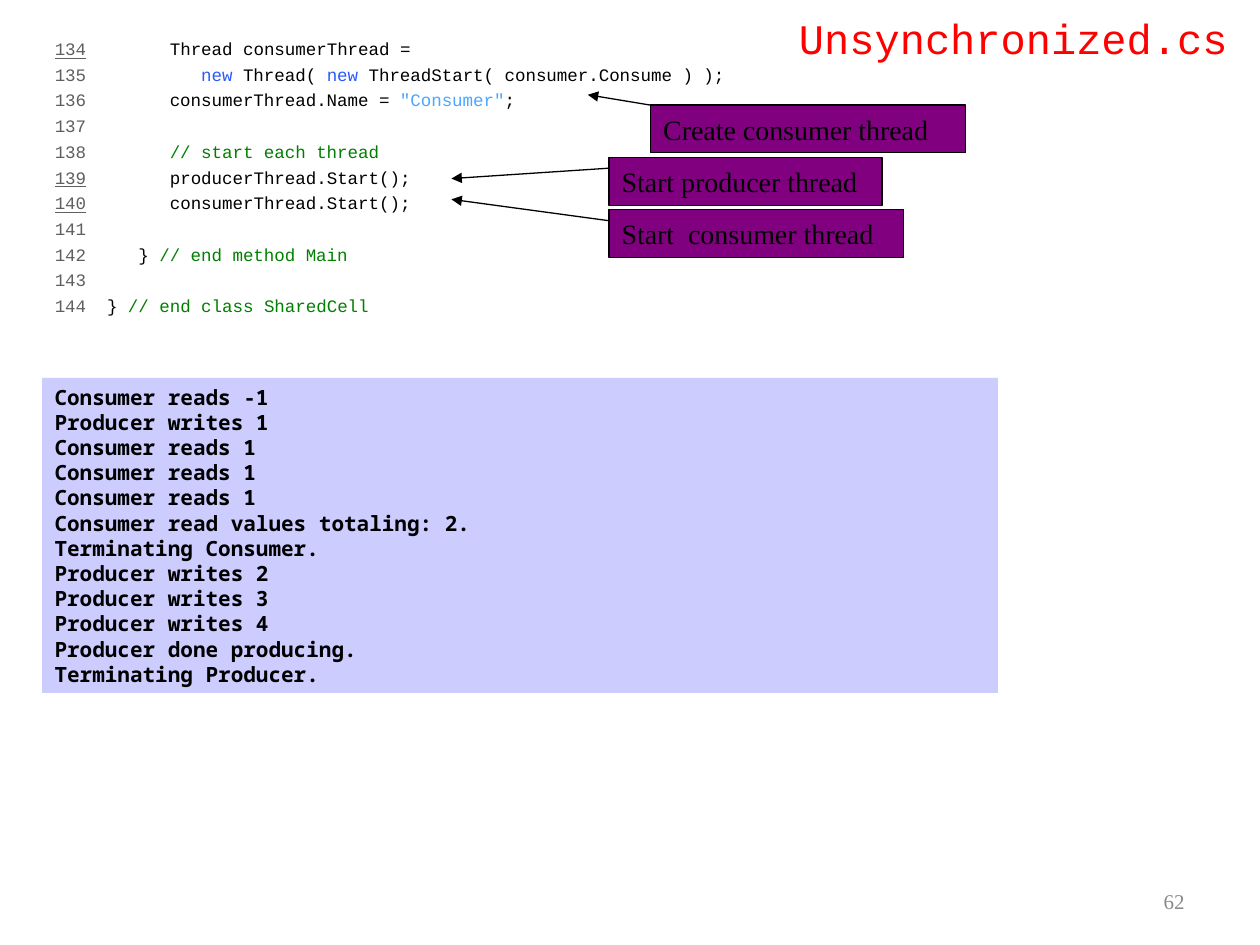
import pptx
import pptx.dml.color
import pptx.enum.shapes
import pptx.enum.text
import pptx.oxml
import pptx.oxml.ns
import pptx.util
from pptx.util import Cm

RGBColor = pptx.dml.color.RGBColor
BLACK = RGBColor(0x00, 0x00, 0x00)
NUMBER_GREY = RGBColor(0x5F, 0x5F, 0x5F)
KEYWORD_BLUE = RGBColor(0x27, 0x5A, 0xFF)
STRING_BLUE = RGBColor(0x4D, 0xA6, 0xFF)
COMMENT_GREEN = RGBColor(0x00, 0x80, 0x00)
OUTPUT_LILAC = RGBColor(0xCC, 0xCC, 0xFF)
CALLOUT_PURPLE = RGBColor(0x80, 0x00, 0x80)
TITLE_RED = RGBColor(0xFF, 0x00, 0x00)
PAGE_GREY = RGBColor(0x89, 0x89, 0x89)

CODE_FONT = "Courier New"
SERIF_FONT = "Times New Roman"
ALIGN = pptx.enum.text.PP_ALIGN
ANCHOR = pptx.enum.text.MSO_ANCHOR
RECTANGLE = pptx.enum.shapes.MSO_SHAPE.RECTANGLE


def add_run(paragraph, text, font, size, color, bold=False, underline=False):
    run = paragraph.add_run()
    run.text = text
    run.font.name = font
    run.font.size = pptx.util.Pt(size)
    run.font.color.rgb = color
    run.font.bold = bold
    run.font.underline = underline


def prepare_frame(shape, anchor):
    frame = shape.text_frame
    frame.word_wrap = True
    frame.auto_size = pptx.enum.text.MSO_AUTO_SIZE.NONE
    frame.vertical_anchor = anchor
    return frame


presentation = pptx.Presentation()
presentation.slide_width = Cm(25.4)
presentation.slide_height = Cm(19.05)
slide = presentation.slides.add_slide(presentation.slide_layouts[0])

# Title
title = slide.shapes.title
title.left, title.top, title.width, title.height = Cm(15.45), Cm(0), Cm(9.95), Cm(1.52)
paragraph = prepare_frame(title, ANCHOR.MIDDLE).paragraphs[0]
paragraph.alignment = ALIGN.CENTER
add_run(paragraph, "Unsynchronized.cs", CODE_FONT, 24, TITLE_RED)

# Code listing: one list of coloured pieces per numbered line
FIRST_LINE = 134
UNDERLINED_LINES = {134, 139, 140}
code_lines = [
    [("      Thread consumerThread =", BLACK)],
    [("         ", BLACK), ("new", KEYWORD_BLUE), (" Thread( ", BLACK),
     ("new", KEYWORD_BLUE), (" ThreadStart( consumer.Consume ) );", BLACK)],
    [("      consumerThread.Name = ", BLACK), ('"Consumer"', STRING_BLUE), (";", BLACK)],
    [],
    [("      // start each thread", COMMENT_GREEN)],
    [("      producerThread.Start();", BLACK)],
    [("      consumerThread.Start();", BLACK)],
    [],
    [("   } ", BLACK), ("// end method Main", COMMENT_GREEN)],
    [],
    [("} ", BLACK), ("// end class SharedCell", COMMENT_GREEN)],
]
code = slide.placeholders[1]
code.left, code.top, code.width, code.height = Cm(0.85), Cm(0.64), Cm(20.53), Cm(6.77)
frame = prepare_frame(code, ANCHOR.TOP)
for index, pieces in enumerate(code_lines):
    paragraph = frame.add_paragraph() if index else frame.paragraphs[0]
    paragraph.alignment = ALIGN.LEFT
    paragraph.space_before = pptx.util.Pt(2.67 if index else 0)
    number = FIRST_LINE + index
    add_run(paragraph, str(number), CODE_FONT, 10, NUMBER_GREY,
            underline=number in UNDERLINED_LINES)
    if pieces:
        add_run(paragraph, "  ", CODE_FONT, 10, NUMBER_GREY)
    for text, color in pieces:
        add_run(paragraph, text, CODE_FONT, 10, color)

# Program output
output_lines = [
    "Consumer reads -1",
    "Producer writes 1",
    "Consumer reads 1",
    "Consumer reads 1",
    "Consumer reads 1",
    "Consumer read values totaling: 2.",
    "Terminating Consumer.",
    "Producer writes 2",
    "Producer writes 3",
    "Producer writes 4",
    "Producer done producing.",
    "Terminating Producer.",
]
output = slide.shapes.add_shape(RECTANGLE, Cm(0.85), Cm(7.62), Cm(19.27), Cm(6.35))
output.shadow.inherit = False
output.fill.solid()
output.fill.fore_color.rgb = OUTPUT_LILAC
output.line.fill.background()
frame = prepare_frame(output, ANCHOR.TOP)
for index, text in enumerate(output_lines):
    paragraph = frame.add_paragraph() if index else frame.paragraphs[0]
    paragraph.alignment = ALIGN.LEFT
    add_run(paragraph, text, "Noto Sans Mono", 12, BLACK, bold=True)

# Callouts: text, left, top, width, arrow start height, arrow tip
callouts = [
    ("Create consumer thread", 13.12, 2.12, 6.35, 2.12, (11.85, 1.91)),
    ("Start producer thread", 12.28, 3.18, 5.5, 3.39, (9.1, 3.6)),
    ("Start  consumer thread", 12.28, 4.23, 5.93, 4.45, (9.1, 4.02)),
]
for text, left, top, width, arrow_y, (tip_x, tip_y) in callouts:
    group = slide.shapes.add_group_shape()
    box = group.shapes.add_shape(RECTANGLE, Cm(left), Cm(top), Cm(width), Cm(0.96))
    box.shadow.inherit = False
    box.fill.solid()
    box.fill.fore_color.rgb = CALLOUT_PURPLE
    paragraph = prepare_frame(box, ANCHOR.MIDDLE).paragraphs[0]
    paragraph.alignment = ALIGN.LEFT
    add_run(paragraph, text, SERIF_FONT, 16, BLACK)

    arrow = group.shapes.add_connector(pptx.enum.shapes.MSO_CONNECTOR.STRAIGHT,
                                       Cm(left), Cm(arrow_y), Cm(tip_x), Cm(tip_y))
    for shape in (box, arrow):
        shape.line.color.rgb = BLACK
        shape.line.width = pptx.util.Pt(0.75)
    arrow_line = arrow.line._get_or_add_ln()
    arrow_line.append(pptx.oxml.parse_xml(
        f'<a:tailEnd {pptx.oxml.ns.nsdecls("a")} type="triangle"/>'))
    arrow_line.addnext(pptx.oxml.parse_xml(
        f'<a:effectLst {pptx.oxml.ns.nsdecls("a")}/>'))

# Page number
page_number = slide.shapes.add_textbox(Cm(18.2), Cm(17.66), Cm(5.93), Cm(1.01))
paragraph = prepare_frame(page_number, ANCHOR.MIDDLE).paragraphs[0]
paragraph.alignment = ALIGN.RIGHT
add_run(paragraph, "62", SERIF_FONT, 12, PAGE_GREY)

presentation.save("out.pptx")
